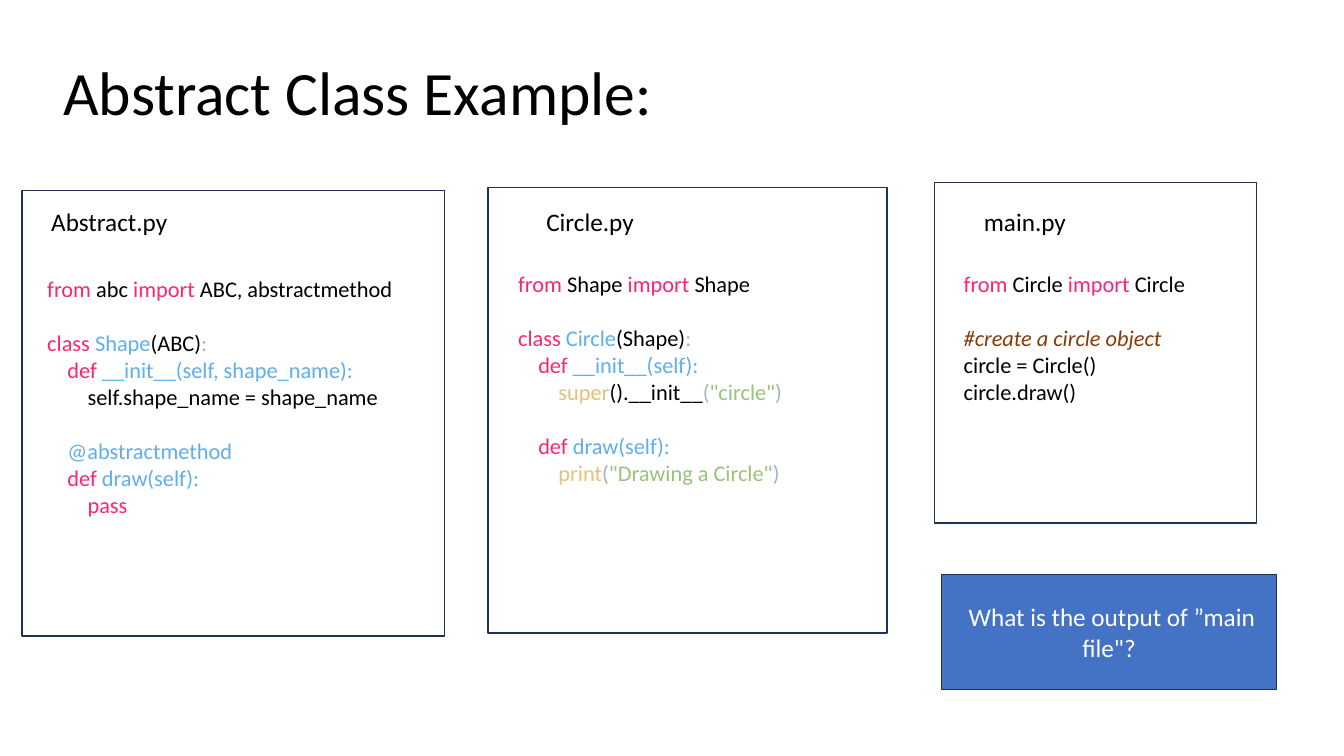
from pptx import Presentation
from pptx.dml.color import RGBColor
from pptx.enum.shapes import MSO_SHAPE
from pptx.enum.text import MSO_ANCHOR, PP_ALIGN
from pptx.util import Inches, Pt

BLACK, WHITE, NAVY, BLUE = "000000", "FFFFFF", "1E3256", "4472C4"
PINK, SKY, GRAY = "F92672", "61AEEE", "ABB2BF"
GOLD, GREEN, BROWN = "E6C07B", "98C379", "843C0B"
LINE_HEIGHT = Pt(19.5)
INDENT = Inches(0.2)


def rgb(color):
    return RGBColor.from_string(color)


def add_run(p, text, size, color):
    r = p.add_run()
    r.text = text
    fmt = {"name": "Calibri", "size": Pt(size), "italic": color == BROWN}
    for name, value in fmt.items():
        setattr(r.font, name, value)
    r.font.color.rgb = rgb(color)


# Each code line: indent level, blank line before it, coloured pieces
abstract_code = [
    (0, False, [("from ", PINK), ("abc ", BLACK), ("import ", PINK),
                ("ABC, abstractmethod", BLACK)]),
    (0, True, [("class ", PINK), ("Shape", SKY), ("(ABC)", BLACK), (":", GRAY)]),
    (1, False, [("def", PINK), (" __init__(self, shape_name):", SKY)]),
    (2, False, [("self.shape_name = shape_name", BLACK)]),
    (1, True, [("@abstractmethod", SKY)]),
    (1, False, [("def", PINK), (" draw(self):", SKY)]),
    (2, False, [("pass", PINK)]),
]
circle_code = [
    (0, False, [("from ", PINK), ("Shape ", BLACK), ("import ", PINK), ("Shape", BLACK)]),
    (0, True, [("class ", PINK), ("Circle", SKY), ("(Shape)", BLACK), (":", GRAY)]),
    (1, False, [("def", PINK), (" __init__(self):", SKY)]),
    (2, False, [("super", GOLD), ("().__init__", BLACK), ("(", GRAY),
                ('"circle"', GREEN), (")", GRAY)]),
    (1, True, [("def", PINK), (" draw(self):", SKY)]),
    (2, False, [("print", GOLD), ("(", GRAY), ('"Drawing a Circle"', GREEN), (")", GRAY)]),
]
main_code = [
    (0, False, [("from ", PINK), ("Circle ", BLACK), ("import ", PINK), ("Circle", BLACK)]),
    (0, True, [("#create a circle object", BROWN)]),
    (0, False, [("circle = Circle()", BLACK)]),
    (0, False, [("circle.draw()", BLACK)]),
]

# File name, its left edge, frame box, code box, code
panels = [
    ("Abstract.py", 0.41, (0.22, 1.89, 4.19, 4.42), (0.37, 2.68, 5.12, 2.52), abstract_code),
    ("Circle.py", 5.32, (4.84, 1.86, 3.96, 4.42), (5.04, 2.63, 4.22, 2.26), circle_code),
    ("main.py", 9.66, (9.27, 1.81, 3.19, 3.38), (9.46, 2.63, 3.29, 1.45), main_code),
]

prs = Presentation()
prs.slide_width, prs.slide_height = Inches(13.33), Inches(7.5)
s = prs.slides.add_slide(prs.slide_layouts[6])

# Title
tf = s.shapes.add_textbox(Inches(0.53), Inches(0.22), Inches(11.5), Inches(1.45)).text_frame
tf.word_wrap = True
tf.vertical_anchor = MSO_ANCHOR.MIDDLE
tf.paragraphs[0].line_spacing = 0.9
add_run(tf.paragraphs[0], "Abstract Class Example:", 44, BLACK)

# Code panels
for file_name, name_left, frame_box, code_box, code in panels:
    frame = s.shapes.add_shape(MSO_SHAPE.RECTANGLE, *map(Inches, frame_box))
    frame.shadow.inherit = False
    frame.fill.background()
    frame.line.color.rgb = rgb(NAVY)
    frame.line.width = Pt(1)

    tf = s.shapes.add_textbox(Inches(name_left), Inches(2), Inches(2.7), Inches(0.4)).text_frame
    tf.word_wrap = True
    add_run(tf.paragraphs[0], file_name, 18, BLACK)

    tf = s.shapes.add_textbox(*map(Inches, code_box)).text_frame
    tf.word_wrap = True
    for i, (level, blank_before, pieces) in enumerate(code):
        p = tf.add_paragraph() if i else tf.paragraphs[0]
        p._p.get_or_add_pPr().set("marL", str(level * INDENT))
        if blank_before:
            p.space_before = LINE_HEIGHT
        for text, color in pieces:
            add_run(p, text, 16, color)

# Question
question = s.shapes.add_shape(MSO_SHAPE.RECTANGLE, Inches(9.34), Inches(5.7),
                              Inches(3.32), Inches(1.14))
question.shadow.inherit = False
question.fill.solid()
question.fill.fore_color.rgb = rgb(BLUE)
question.line.color.rgb = rgb(NAVY)
question.line.width = Pt(1)
tf = question.text_frame
tf.word_wrap = True
tf.vertical_anchor = MSO_ANCHOR.MIDDLE
tf.paragraphs[0].alignment = PP_ALIGN.CENTER
add_run(tf.paragraphs[0], ' What is the output of ”main file"?', 18, WHITE)

prs.save("out.pptx")
